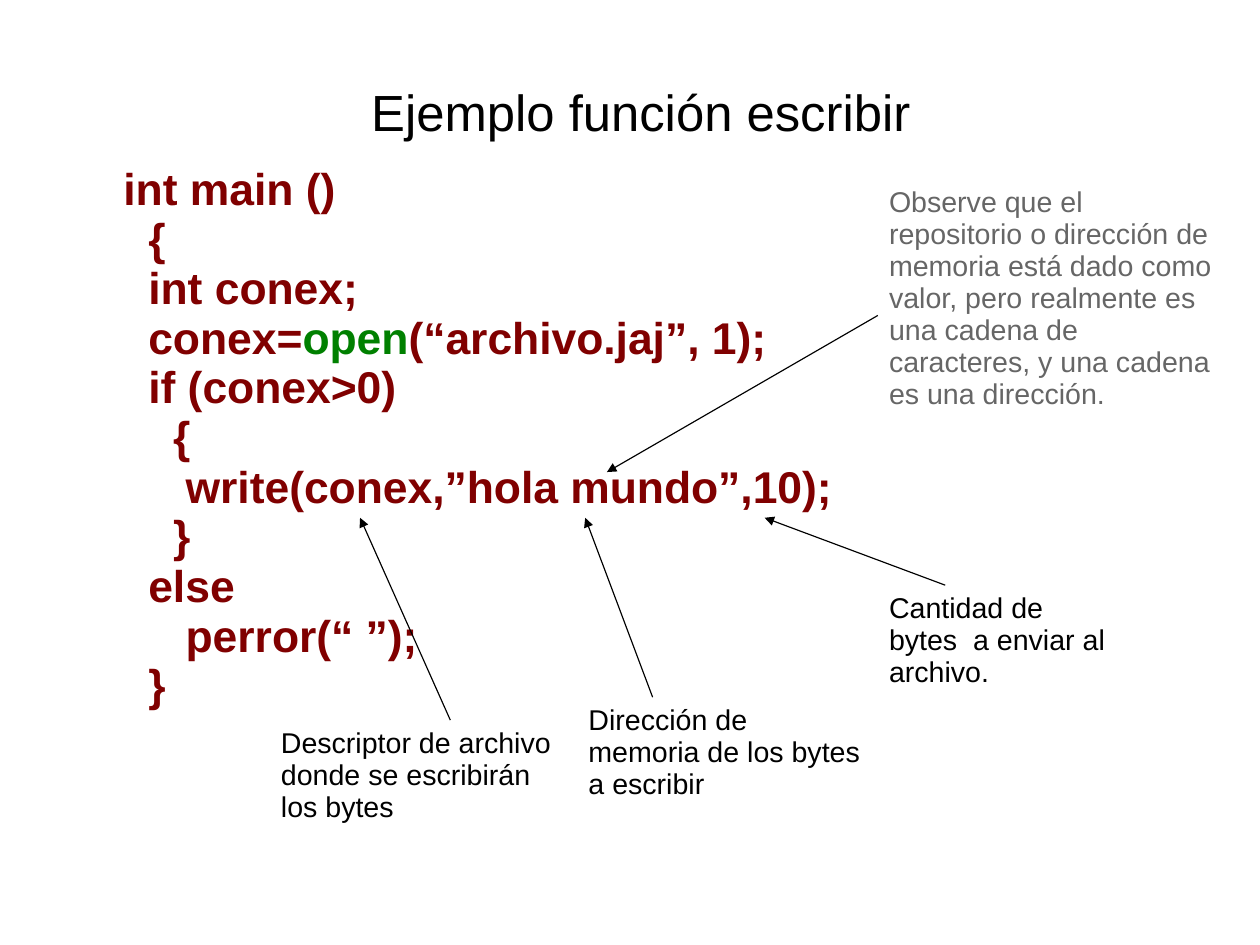
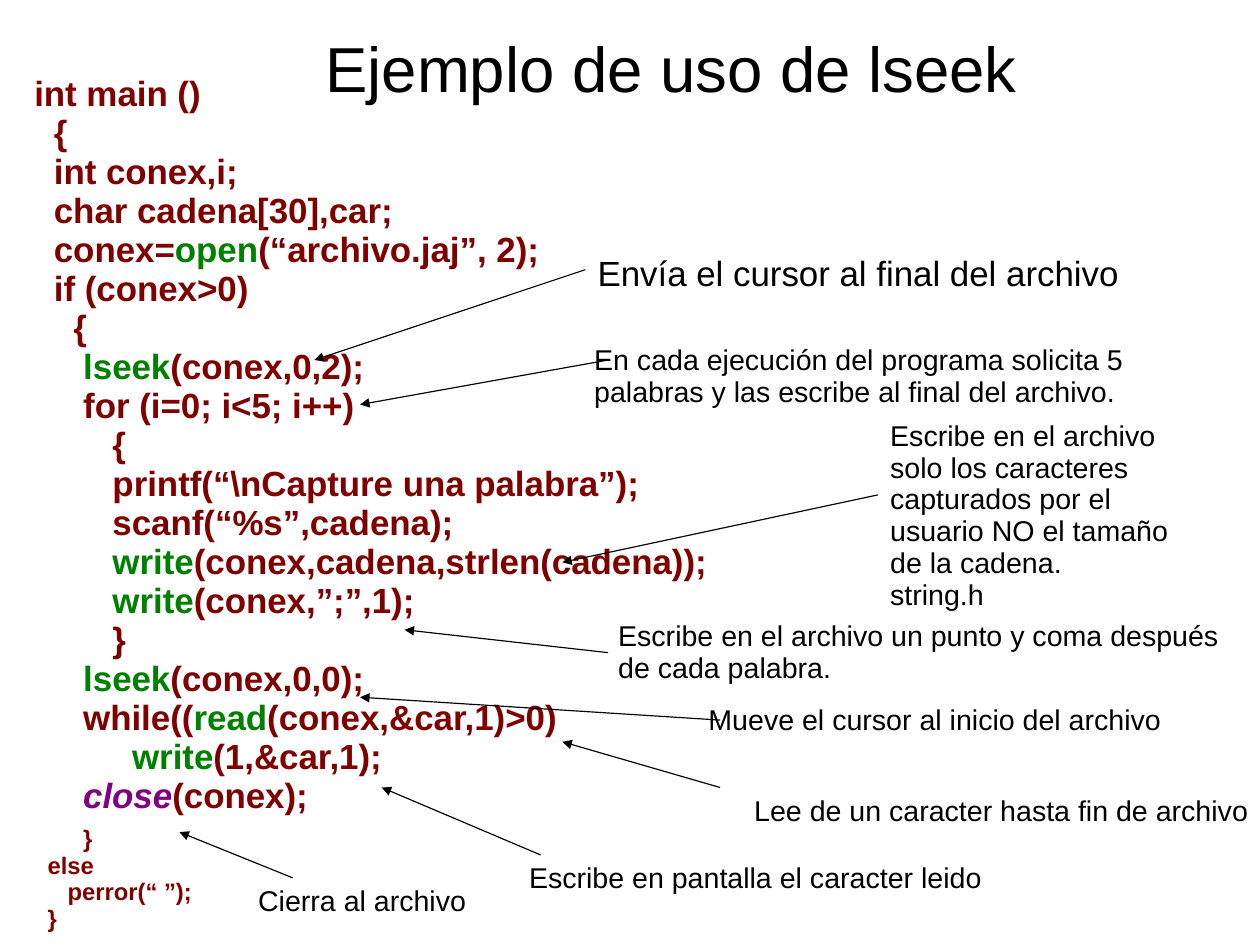
from pptx import Presentation
from pptx.dml.color import RGBColor
from pptx.enum.shapes import MSO_CONNECTOR
from pptx.enum.text import MSO_ANCHOR, MSO_AUTO_SIZE, PP_ALIGN
from pptx.oxml.ns import qn
from pptx.util import Inches, Pt
from lxml import etree

FONT = "Arial"
BLACK = RGBColor(0x00, 0x00, 0x00)
GRAY = RGBColor(0x66, 0x66, 0x66)
MAROON = RGBColor(0x80, 0x00, 0x00)
GREEN = RGBColor(0x00, 0x80, 0x00)
PURPLE = RGBColor(0x80, 0x00, 0x80)
STRAIGHT = MSO_CONNECTOR.STRAIGHT
TOP, MIDDLE = MSO_ANCHOR.TOP, MSO_ANCHOR.MIDDLE
LEFT, CENTER = PP_ALIGN.LEFT, PP_ALIGN.CENTER
NO_AUTOFIT = MSO_AUTO_SIZE.NONE
LINE_SPACING = 0.93
SPACE_WIDTH = 0.28  # width of a space, in ems
NOTE_INSETS = (0.1, 0.07, 0.1, 0.05)

# Code blocks are (size, gap before, lines).
# A line is (indent in spaces, plain, highlighted, plain).
# Notes are (box, wraps, size, colour, paragraphs); arrows are (from, to).
SLIDES = [
    {
        "title": "Ejemplo función escribir",
        "title_box": (0.65, 0.2, 9.92, 1.57),
        "title_size": 32,
        "code_box": (0.98, 1.38, 9.06, 5.51),
        "code": [(28, 0, [
            (0, "int main ()"),
            (2, "{"),
            (2, "int conex;"),
            (2, "conex=", "open", "(“archivo.jaj”, 1);"),
            (2, "if (conex>0)"),
            (4, "{"),
            (5, "write(conex,”hola mundo”,10);"),
            (4, "}"),
            (2, "else"),
            (5, "perror(“ ”);"),
            (2, "}"),
        ])],
        "notes": [
            ((2.36, 6.3, 2.56, 0.94), True, 18, BLACK,
             ["Descriptor de archivo donde se escribirán los bytes"]),
            ((5.05, 6.1, 2.62, 0.66), True, 18, BLACK,
             ["Dirección de memoria de los bytes a escribir"]),
            ((7.68, 5.12, 2.2, 0.94), True, 18, BLACK,
             ["Cantidad de bytes  a enviar al archivo."]),
            ((7.68, 1.57, 3.07, 2.06), True, 18, GRAY,
             ["Observe que el repositorio o dirección de memoria está dado "
              "como valor, pero realmente es una cadena de caracteres, y una "
              "cadena es una dirección."]),
        ],
        "arrows": [
            ((3.94, 6.3), (3.15, 4.53)),
            ((5.71, 6.1), (5.12, 4.53)),
            ((8.27, 5.12), (6.69, 4.53)),
            ((7.68, 2.76), (5.31, 4.13)),
        ],
    },
    {
        "title": "Ejemplo de uso de lseek",
        "title_box": (0.91, -0.18, 9.92, 1.57),
        "title_size": 40,
        "code_box": (0.2, 0.59, 10.43, 7.65),
        "code": [
            (22, 0, [
                (0, "int main ()"),
                (2, "{"),
                (2, "int conex,i;"),
                (2, "char cadena[30],car;"),
                (2, "conex=", "open", "(“archivo.jaj”, 2);"),
                (2, "if (conex>0)"),
                (4, "{"),
                (5, "", "lseek", "(conex,0,2);"),
                (5, "for (i=0; i<5; i++)"),
                (8, "{"),
                (8, "printf(“\\nCapture una palabra”);"),
                (8, "scanf(“%s”,cadena);"),
                (8, "", "write", "(conex,cadena,strlen(cadena));"),
                (8, "", "write", "(conex,”;”,1);"),
                (8, "}"),
                (5, "", "lseek", "(conex,0,0);"),
                (5, "while((", "read", "(conex,&car,1)>0)"),
                (10, "", "write", "(1,&car,1);"),
                (5, "", "close", "(conex);"),
            ]),
            (15, 6.5, [
                (7.33, "}"),
                (2, "else"),
                (5, "perror(“ ”);"),
                (2, "}"),
            ]),
        ],
        "notes": [
            ((5.13, 2.16, 4.77, 0.44), False, 22, BLACK,
             ["Envía el cursor al final del archivo"]),
            ((5.1, 2.95, 4.94, 0.66), True, 18, BLACK,
             ["En cada ejecución del programa solicita 5 palabras y las "
              "escribe al final del archivo."]),
            ((7.69, 3.61, 2.76, 1.78), True, 18, BLACK,
             ["Escribe en el archivo solo los caracteres capturados por el "
              "usuario NO el tamaño de la cadena.", "string.h"]),
            ((5.31, 5.36, 5.51, 0.66), True, 18, BLACK,
             ["Escribe en el archivo un punto y coma después de cada "
              "palabra."]),
            ((6.1, 6.1, 4.92, 0.38), True, 18, BLACK,
             ["Mueve el cursor al inicio del archivo"]),
            ((6.5, 6.89, 4.51, 0.38), False, 18, BLACK,
             ["Lee de un caracter hasta fin de archivo"]),
            ((4.53, 7.48, 4.15, 0.38), False, 18, BLACK,
             ["Escribe en pantalla el caracter leido"]),
            ((2.16, 7.68, 2.01, 0.58), False, 18, BLACK,
             ["Cierra al archivo"]),
        ],
        "arrows": [
            ((5.12, 2.36), (2.75, 3.15)),
            ((5.32, 3.15), (3.15, 3.54)),
            ((7.68, 4.33), (4.92, 4.92)),
            ((5.32, 5.71), (3.54, 5.51)),
            ((6.3, 6.3), (3.15, 6.1)),
            ((6.3, 6.89), (4.92, 6.49)),
            ((4.73, 7.48), (3.34, 6.89)),
            ((2.56, 7.68), (1.57, 7.28)),
        ],
    },
]


def set_frame(sp, box, insets, anchor=TOP, wrap=True):
    """Place a text shape and return its text frame."""
    sp.left, sp.top, sp.width, sp.height = map(Inches, box)
    tf = sp.text_frame
    tf.auto_size = NO_AUTOFIT
    tf.word_wrap = wrap
    tf.vertical_anchor = anchor
    (tf.margin_left, tf.margin_top,
     tf.margin_right, tf.margin_bottom) = map(Inches, insets)
    return tf


def next_paragraph(tf, first, align=LEFT, before=0):
    p = tf.paragraphs[0] if first else tf.add_paragraph()
    p.alignment = align
    p.line_spacing = LINE_SPACING
    p.space_before = Pt(before)
    p.space_after = Pt(0)
    return p


def add_run(p, text, size, color, bold=False, italic=False):
    r = p.add_run()
    r.text = text
    r.font.name = FONT
    r.font.size = Pt(size)
    r.font.bold = bold
    r.font.italic = italic
    r.font.color.rgb = color


def fill_title(sp, text, box, size):
    tf = set_frame(sp, box, (0, 0.03, 0, 0), MIDDLE)
    add_run(next_paragraph(tf, True, CENTER), text, size, BLACK)


def fill_code(sp, box, blocks):
    tf = set_frame(sp, box, NOTE_INSETS)
    for b, (size, gap, lines) in enumerate(blocks):
        for n, (indent, *pieces) in enumerate(lines):
            p = next_paragraph(tf, b == n == 0, before=0 if n else gap)
            # Indent without a bullet
            pPr = p._p.get_or_add_pPr()
            pPr.set("marL", str(Pt(indent * SPACE_WIDTH * size)))
            pPr.set("indent", "0")
            etree.SubElement(pPr, qn("a:buNone"))
            for i, piece in enumerate(pieces):
                closing = piece == "close"
                color = MAROON if i % 2 == 0 else PURPLE if closing else GREEN
                if piece:
                    add_run(p, piece, size, color, True, closing)


def add_note(slide, box, wrap, size, color, paragraphs):
    sp = slide.shapes.add_textbox(*map(Inches, box))
    tf = set_frame(sp, box, NOTE_INSETS, wrap=wrap)
    for i, text in enumerate(paragraphs):
        add_run(next_paragraph(tf, i == 0), text, size, color)


def add_arrow(slide, start, end):
    line = slide.shapes.add_connector(STRAIGHT, *map(Inches, start + end))
    line.line.color.rgb = BLACK
    line.line.width = Pt(0.75)
    ln = line.line._get_or_add_ln()
    etree.SubElement(ln, qn("a:tailEnd"), type="triangle")
    etree.SubElement(line._element.spPr, qn("a:effectLst"))


def main():
    prs = Presentation()
    # The page is 28 by 21 cm
    prs.slide_width = Inches(28 / 2.54)
    prs.slide_height = Inches(21 / 2.54)
    for data in SLIDES:
        slide = prs.slides.add_slide(prs.slide_layouts[1])
        fill_title(slide.shapes.title, data["title"], data["title_box"],
                   data["title_size"])
        fill_code(slide.placeholders[1], data["code_box"], data["code"])
        for note in data["notes"]:
            add_note(slide, *note)
        for arrow in data["arrows"]:
            add_arrow(slide, *arrow)
    prs.save("out.pptx")


if __name__ == "__main__":
    main()
